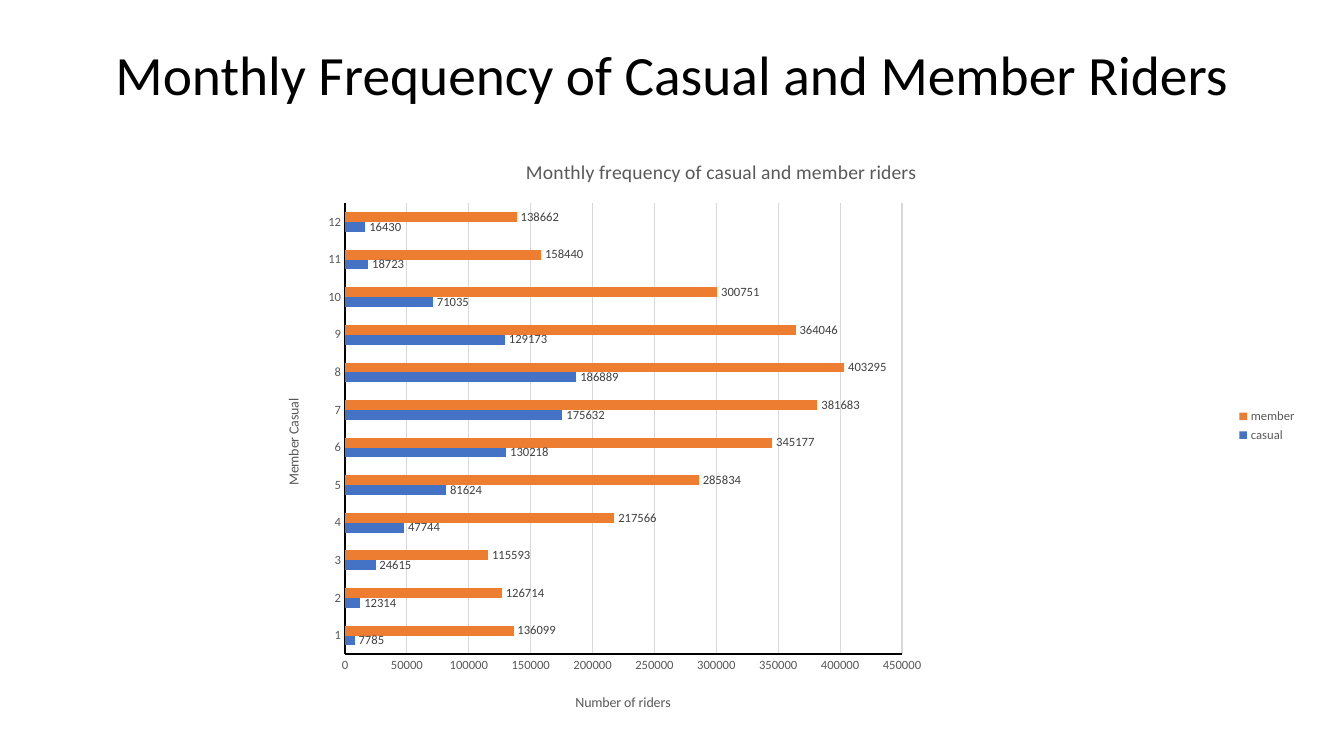
from dataclasses import dataclass
from lxml import etree
from pptx import Presentation, util as u
from pptx.chart import data as cd
from pptx.dml import color
from pptx.enum import chart as ce, text
from pptx.oxml import ns


@dataclass(frozen=True)
class Theme:
    font: str = "Calibri"
    black: str = "000000"
    muted: str = "595959"
    label: str = "404040"
    grid: str = "D9D9D9"
    casual: str = "4472C4"
    member: str = "ED7D31"
    heading_size: float = 39.6
    caption_size: float = 14
    axis_title_size: float = 10
    small_size: float = 9


theme = Theme()


def style(font, size, hue):
    font.name = theme.font
    font.size = u.Pt(size)
    font.bold = False
    font.color.rgb = color.RGBColor.from_string(hue)


def place(parent, index, **fractions):
    for old in parent.findall(ns.qn("c:layout")):
        parent.remove(old)
    layout = etree.Element(ns.qn("c:layout"))
    manual = etree.SubElement(layout, ns.qn("c:manualLayout"))
    if "w" in fractions:
        etree.SubElement(manual, ns.qn("c:layoutTarget")).set("val", "inner")
    for mode in ("xMode", "yMode"):
        etree.SubElement(manual, ns.qn(f"c:{mode}")).set("val", "edge")
    for side, fraction in fractions.items():
        etree.SubElement(manual, ns.qn(f"c:{side}")).set("val", str(fraction))
    parent.insert(index, layout)


deck = Presentation()
deck.slide_width, deck.slide_height = u.Cm(33.87), u.Cm(19.05)
slide = deck.slides.add_slide(deck.slide_layouts[5])

heading = slide.shapes.title
heading.left, heading.top = u.Cm(2.33), u.Cm(1.01)
heading.width, heading.height = u.Cm(29.21), u.Cm(1.88)
heading.text_frame.text = "Monthly Frequency of Casual and Member Riders"
heading.text_frame.vertical_anchor = text.MSO_ANCHOR.MIDDLE
heading_line = heading.text_frame.paragraphs[0]
heading_line.alignment = text.PP_ALIGN.CENTER
heading_line.line_spacing = 0.9
style(heading_line.font, theme.heading_size, theme.black)

riders = cd.CategoryChartData()
riders.categories = [str(month) for month in range(1, 13)]
riders.add_series("casual", (7785, 12314, 24615, 47744, 81624, 130218,
                             175632, 186889, 129173, 71035, 18723, 16430))
riders.add_series("member", (136099, 126714, 115593, 217566, 285834, 345177,
                             381683, 403295, 364046, 300751, 158440, 138662))
chart = slide.shapes.add_chart(
    ce.XL_CHART_TYPE.BAR_CLUSTERED,
    u.Cm(1.04), u.Cm(3.15), u.Cm(31.9), u.Cm(15.16), riders).chart
style(chart.font, theme.axis_title_size, theme.black)

months, counts = chart.category_axis, chart.value_axis
chart.has_title = months.has_title = counts.has_title = True
for caption, wording, size, x, y, turn in (
        (chart.chart_title, "Monthly frequency of casual and member riders",
         theme.caption_size, 0.38, 0.05, 0),
        (months.axis_title, "Member Casual", theme.axis_title_size, 0.19, 0.45, -90),
        (counts.axis_title, "Number of riders", theme.axis_title_size, 0.42, 0.94, 0)):
    caption.text_frame.text = wording
    style(caption.text_frame.paragraphs[0].font, size, theme.muted)
    body = next(caption.element.iter(ns.qn("a:bodyPr")))
    body.set("rot", str(turn * 60000))
    body.set("vert", "horz")
    place(caption.element, 1, x=x, y=y)

for axis in (months, counts):
    axis.major_tick_mark = axis.minor_tick_mark = ce.XL_TICK_MARK.NONE
    style(axis.tick_labels.font, theme.small_size, theme.muted)
    axis.format.line.width = u.Pt(1.25)
    axis.format.line.color.rgb = color.RGBColor.from_string(theme.black)
months.has_major_gridlines = False
counts.has_major_gridlines = True
counts.minimum_scale, counts.maximum_scale, counts.major_unit = 0, 450000, 50000
gridline = counts.major_gridlines.format.line
gridline.width = u.Pt(0.75)
gridline.color.rgb = color.RGBColor.from_string(theme.grid)

bars = chart.plots[0]
bars.gap_width = 182
bars.vary_by_categories = False
for group, hue in zip(bars.series, (theme.casual, theme.member)):
    group.format.fill.solid()
    group.format.fill.fore_color.rgb = color.RGBColor.from_string(hue)
    labels = group.data_labels
    labels.show_value = True
    labels.position = ce.XL_LABEL_POSITION.OUTSIDE_END
    style(labels.font, theme.small_size, theme.label)

chart.has_legend = True
chart.legend.position = ce.XL_LEGEND_POSITION.RIGHT
chart.legend.include_in_layout = False
style(chart.legend.font, theme.small_size, theme.muted)
plot_area = next(chart.element.iter(ns.qn("c:plotArea")))
place(plot_area, 0, x=0.24, y=0.13, w=0.44, h=0.75)

deck.save("out.pptx")
